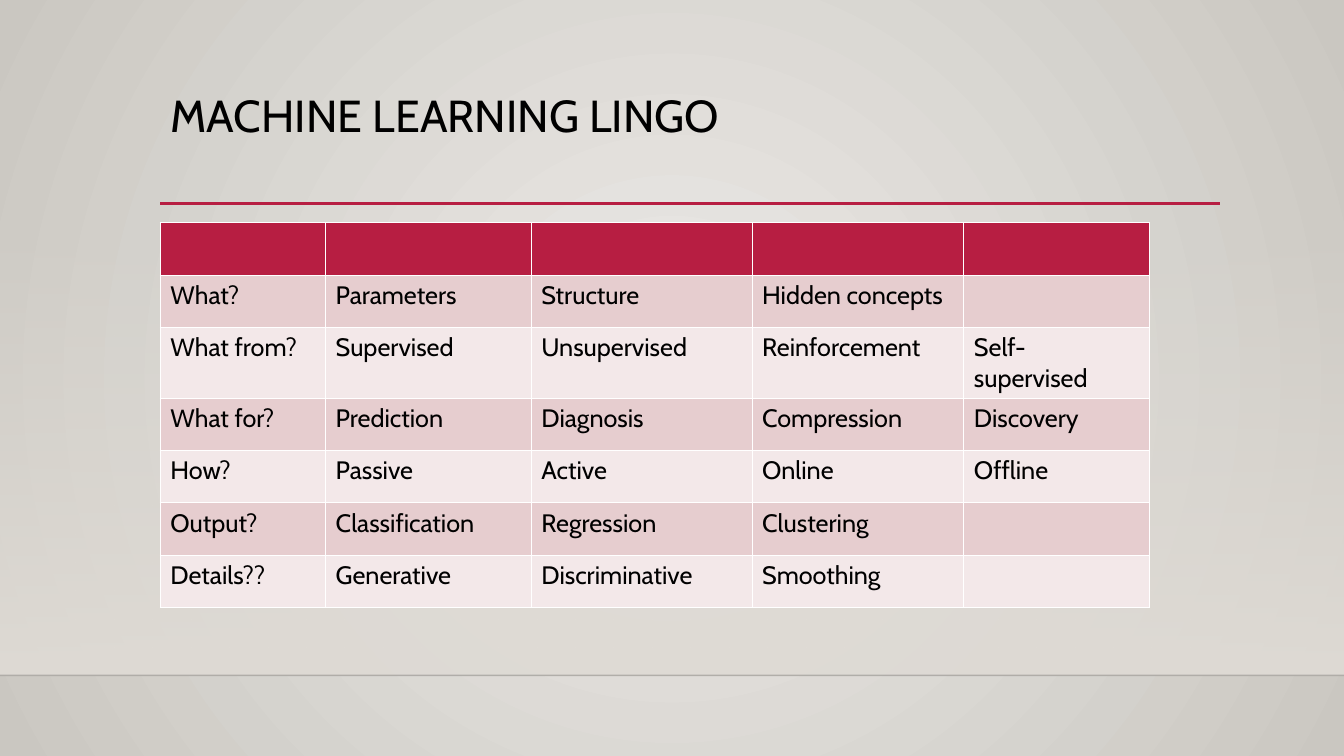
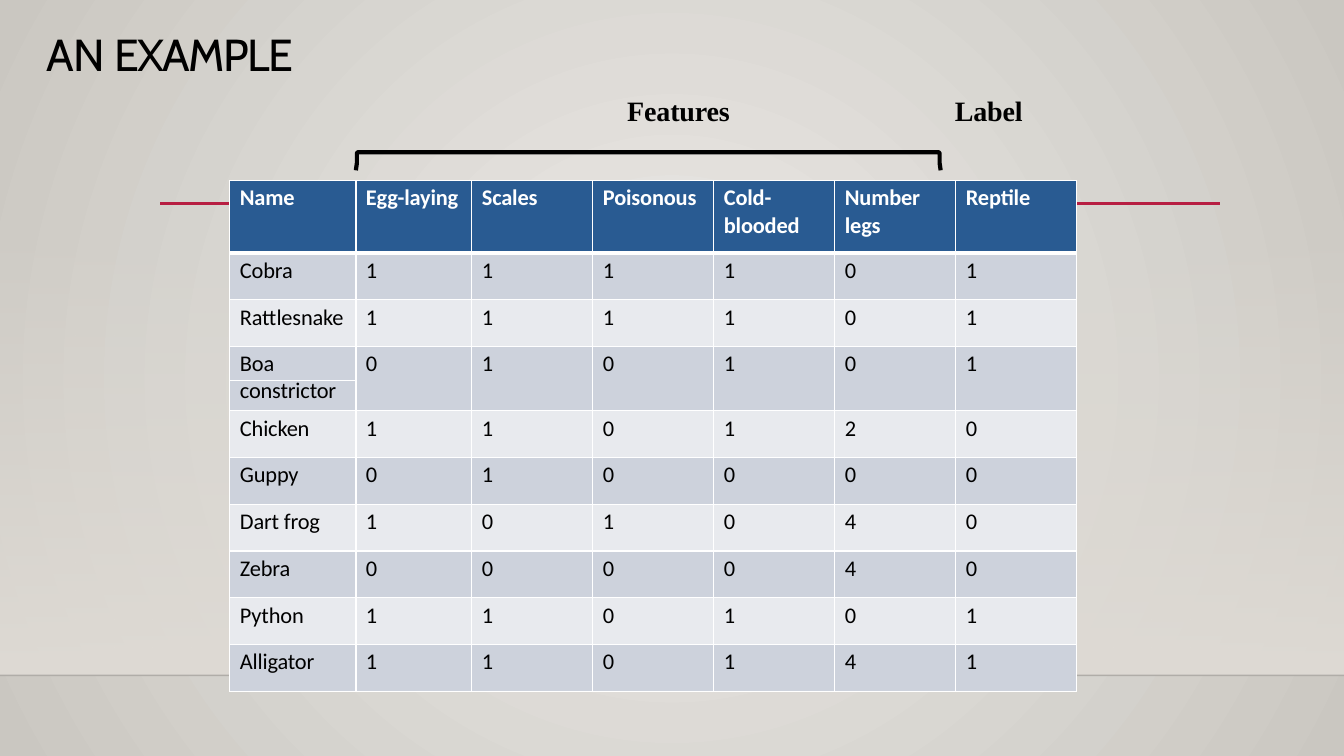
from lxml import etree
from pptx import Presentation
from pptx.dml.color import RGBColor
from pptx.enum.shapes import MSO_CONNECTOR, MSO_SHAPE
from pptx.enum.text import MSO_ANCHOR
from pptx.oxml.ns import qn
from pptx.util import Inches, Pt

STRAIGHT, RECTANGLE, TOP = MSO_CONNECTOR.STRAIGHT, MSO_SHAPE.RECTANGLE, MSO_ANCHOR.TOP

WIDTH, HEIGHT = 13.33, 7.5
LEFT, RULE_Y, WALL_TOP, FLOOR = 1.59, 2.02, 2.21, 6.7

BLACK = RGBColor(0x00, 0x00, 0x00)
WHITE = RGBColor(0xFF, 0xFF, 0xFF)
CRIMSON = RGBColor(0xB7, 0x1E, 0x42)
BLUE = RGBColor(0x29, 0x5B, 0x92)
GLOW = RGBColor(0xEC, 0xEA, 0xE7)
EDGE = RGBColor(0xCA, 0xC7, 0xC1)
WALL = RGBColor(0xDF, 0xDB, 0xD5)
PINK_BANDS = (RGBColor(0xE6, 0xCD, 0xCF), RGBColor(0xF3, 0xE8, 0xE9))
BLUE_BANDS = (RGBColor(0xCD, 0xD2, 0xDC), RGBColor(0xE8, 0xEA, 0xEE))

HEADING, BODY, SERIF = "Cabin", "Calibri", "Times New Roman"

LINGO = [
    ["", "", "", "", ""],
    ["What?", "Parameters", "Structure", "Hidden concepts", ""],
    ["What from?", "Supervised", "Unsupervised", "Reinforcement", "Self-supervised"],
    ["What for?", "Prediction", "Diagnosis", "Compression", "Discovery"],
    ["How?", "Passive", "Active", "Online", "Offline"],
    ["Output?", "Classification", "Regression", "Clustering", ""],
    ["Details??", "Generative", "Discriminative", "Smoothing", ""],
]
ANIMALS = [
    ["Name", "Egg-laying", "Scales", "Poisonous", "Cold- blooded", "Number legs", "Reptile"],
    ["Cobra", *"111101"],
    ["Rattlesnake", *"111101"],
    ["Boa", *"010101"],
    ["constrictor", *[""] * 6],
    ["Chicken", *"110120"],
    ["Guppy", *"010000"],
    ["Dart frog", *"101040"],
    ["Zebra", *"000040"],
    ["Python", *"110101"],
    ["Alligator", *"110141"],
]
BOA = 3


def add_element(parent, tag, **attributes):
    element = etree.SubElement(parent, qn(tag))
    for name, value in attributes.items():
        element.set(name, str(value))
    return element


def set_alpha(color_parent, percent):
    """Set the opacity of the RGB colour found in an element."""
    add_element(color_parent.find(".//" + qn("a:srgbClr")), "a:alpha", val=percent * 1000)


def write_text(para, text, *, font=HEADING, size=18, color=BLACK, bold=False, spacing=0):
    span = para.add_run()
    span.text = text
    span.font.name, span.font.size = font, Pt(size)
    span.font.bold = bold
    span.font.color.rgb = color
    if spacing:
        span.font._element.set("spc", str(round(spacing * 100)))


def add_text(page, box, spans, *, inset=(0, 0.01), line_spacing=None, tab=None, **format):
    """Place one paragraph; spans pairs each text with its letter spacing."""
    frame = page.shapes.add_textbox(*map(Inches, box)).text_frame
    frame.word_wrap = True
    frame.vertical_anchor = TOP
    frame.margin_left = frame.margin_right = Inches(inset[0])
    frame.margin_top = frame.margin_bottom = Inches(inset[1])
    para = frame.paragraphs[0]
    if line_spacing:
        para.line_spacing = line_spacing
    if tab:
        tabs = add_element(para._p.get_or_add_pPr(), "a:tabLst")
        add_element(tabs, "a:tab", pos=Inches(tab), algn="l")
    for text, spacing in spans:
        write_text(para, text, spacing=spacing, **format)


def add_line(page, start, end, color, width):
    line = page.shapes.add_connector(STRAIGHT, *map(Inches, (*start, *end)))
    line.line.color.rgb, line.line.width = color, Pt(width)
    add_element(line._element.spPr, "a:effectLst")
    return line


def set_gradient(fill, first, last):
    fill.gradient()
    for stop, color, position in zip(fill.gradient_stops, (first, last), (0, 1)):
        stop.color.rgb, stop.position = color, position


def add_page(deck):
    """Blank page with the round glow, the wall, the floor line and the title rule."""
    page = deck.slides.add_slide(deck.slide_layouts[6])
    set_gradient(page.background.fill, GLOW, EDGE)
    gradient = page.element.find(".//" + qn("a:gradFill"))
    gradient.remove(gradient.find(qn("a:lin")))
    circle = add_element(gradient, "a:path", path="circle")
    add_element(circle, "a:fillToRect", **dict.fromkeys("ltrb", 50000))

    wall = page.shapes.add_shape(
        RECTANGLE, *map(Inches, (0, WALL_TOP, WIDTH, FLOOR - WALL_TOP)))
    wall.shadow.inherit = False
    wall.line.fill.background()
    set_gradient(wall.fill, WALL, WALL)
    wall.fill.gradient_angle = 270
    set_alpha(wall._element.spPr.find(".//" + qn("a:gs")), 0)

    floor = add_line(page, (0, FLOOR), (WIDTH, FLOOR), BLACK, 1)
    set_alpha(floor._element.spPr, 20)
    add_line(page, (LEFT, RULE_Y), (12.1, RULE_Y), CRIMSON, 2.5)
    return page


def set_borders(cell, **widths):
    properties = cell._tc.get_or_add_tcPr()
    for side in "LRTB":
        line = add_element(properties, "a:ln" + side, w=Pt(widths.get(side, 1)))
        add_element(add_element(line, "a:solidFill"), "a:srgbClr", val=WHITE)


def add_grid(page, corner, columns, heights, rows, *, header, bands, shades,
             header_line=1, margins=None, header_format=None, **format):
    """Draw a table; shades gives the band of each row below the header."""
    box = (*corner, sum(columns), sum(heights))
    table = page.shapes.add_table(len(rows), len(columns), *map(Inches, box)).table
    table.horz_banding = False
    for column, width in zip(table.columns, columns):
        column.width = Inches(width)
    for row, height in zip(table.rows, heights):
        row.height = Inches(height)
    for r, texts in enumerate(rows):
        for c, text in enumerate(texts):
            cell = table.cell(r, c)
            if margins:
                (cell.margin_left, cell.margin_top,
                 cell.margin_right, cell.margin_bottom) = map(Inches, margins)
            set_borders(cell, **({"B": header_line} if r == 0
                                 else {"T": header_line} if r == 1 else {}))
            cell.fill.solid()
            cell.fill.fore_color.rgb = bands[shades[r - 1]] if r else header
            if text:
                style = {**format, **(header_format or {})} if r == 0 else format
                write_text(cell.text_frame.paragraphs[0], text, **style)
    return table


def add_bracket(page, box):
    """Open bracket over a span of columns, with slightly flared legs."""
    left, top, width, height = box
    leg = [(0, height), (0.01, 0.11), (0.01, 0.05), (0.01, 0.01), (0.02, 0)]
    points = [(left + x, top + y) for x, y in leg]
    points += [(left + width - x, top + y) for x, y in reversed(leg)]
    points = [(Inches(x), Inches(y)) for x, y in points]
    builder = page.shapes.build_freeform(*points[0])
    builder.add_line_segments(points[1:], close=False)
    bracket = builder.convert_to_shape()
    bracket.shadow.inherit = False
    bracket.fill.background()
    bracket.line.color.rgb, bracket.line.width = BLACK, Pt(3)


def add_lingo_page(deck):
    page = add_page(deck)
    add_text(page, (LEFT, 0.88, 10.5, 1.15), [("MACHINE LEARNING LINGO", 0)],
             inset=(0.1, 0.05), line_spacing=0.9, size=32)
    add_grid(page, (LEFT, WALL_TOP), (1.64, 2.04, 2.19, 2.1, 1.84), [0.52] * len(LINGO),
             LINGO, header=CRIMSON, bands=PINK_BANDS, shades=[0, 1] * 3)


def add_example_page(deck):
    page = add_page(deck)
    # Animal table; the boa takes two short rows, the others share the rest
    left, top, height = 2.28, 1.79, 5.07
    columns = [1.25, 1.15] + [1.2] * 5
    fixed = {0: 0.72, BOA: 0.34, BOA + 1: 0.3}
    share = (height - sum(fixed.values())) / (len(ANIMALS) - len(fixed))
    heights = [fixed.get(r, share) for r in range(len(ANIMALS))]
    table = add_grid(page, (left, top), columns, heights, ANIMALS,
                     header=BLUE, bands=BLUE_BANDS, shades=[0, 1, 0] + [0, 1] * 3 + [0],
                     header_line=3, margins=(0.1, 0.04, 0, 0),
                     header_format={"color": WHITE, "bold": True},
                     font=BODY, size=16, spacing=-0.1)
    for c in range(1, len(columns)):
        table.cell(BOA, c).merge(table.cell(BOA + 1, c))
    second_line = table.cell(BOA + 1, 0)
    second_line.margin_top = 0
    second_line.text_frame.paragraphs[0].line_spacing = Pt(16.8)

    # Title, column group names and bracket
    add_text(page, (0.46, 0.26, 10.5, 0.55), [("AN ", -0.5), ("EXAMPLE", -1.1)], size=32)
    add_text(page, (6.22, 0.92, 3.94, 0.36), [("Features\tLabel", -0.1)],
             tab=3.25, font=SERIF, size=20, bold=True)
    add_bracket(page, (left + columns[0], 1.51, 5.8, 0.18))


def main():
    deck = Presentation()
    deck.slide_width, deck.slide_height = Inches(WIDTH), Inches(HEIGHT)
    add_lingo_page(deck)
    add_example_page(deck)
    deck.save("out.pptx")


if __name__ == "__main__":
    main()
